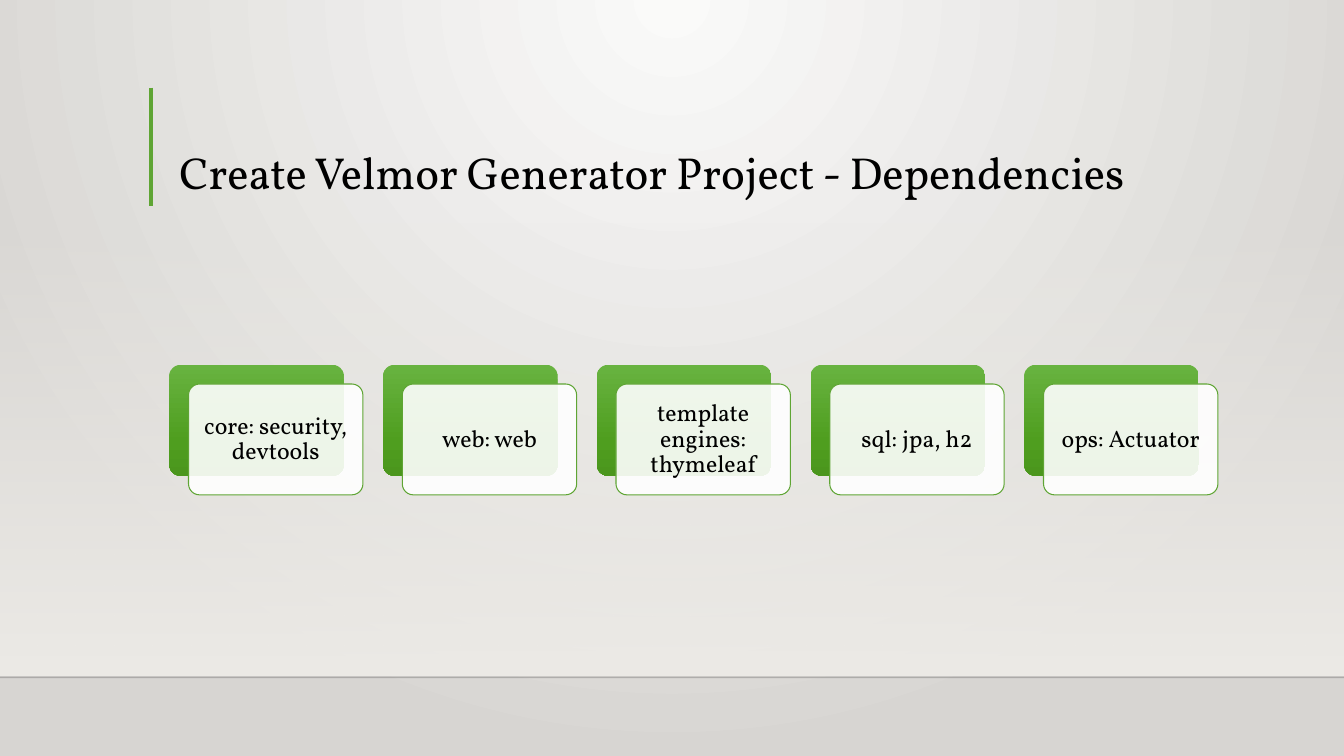
from pptx import Presentation
from pptx.dml.color import RGBColor as Rgb
from pptx.enum.shapes import MSO_CONNECTOR as Link, MSO_SHAPE as Form
from pptx.enum.text import MSO_ANCHOR as Anchor, PP_ALIGN as Align
from pptx.oxml import parse_xml
from pptx.oxml.ns import nsdecls, qn
from pptx.util import Inches, Pt

WIDE, HIGH = 13.33, 7.5
LEFT, TOP, STEP = 1.68, 3.62, 2.12
CARD_W, CARD_H, SHIFT = 1.73, 1.1, 0.19
FONT = "Vollkorn"
HUES = {
    "glow": "FAFAF9", "edge": "D7D5D2", "haze": "EDEBE7",
    "light": "68B340", "mid": "4F9E1F", "deep": "4B961D",
    "green": "5FA534", "ink": "000000", "white": "FFFFFF",
}
DOWN = '<a:lin ang="5400000" scaled="0"/>'
ROUND = ('<a:path path="circle">'
         '<a:fillToRect l="43000" t="0" r="43000" b="100000"/></a:path>')
TOPICS = ["core: security, devtools", "web: web",
          "template engines: thymeleaf", "sql: jpa, h2", "ops: Actuator"]


def tint(name):
    return Rgb.from_string(HUES[name])


def fade(root, share):
    color = next(root.iter(qn("a:srgbClr")))
    color.append(parse_xml(f'<a:alpha {nsdecls("a")} val="{share * 1000}"/>'))


def blend(fill, root, stops, way):
    fill.solid()
    fill.fore_color.rgb = tint("white")
    marks = "".join(
        f'<a:gs pos="{spot * 1000}"><a:srgbClr val="{HUES[name]}">'
        f'<a:alpha val="{share * 1000}"/></a:srgbClr></a:gs>'
        for spot, name, share in stops)
    plain = next(root.iter(qn("a:solidFill")))
    plain.getparent().replace(plain, parse_xml(
        f'<a:gradFill {nsdecls("a")} rotWithShape="1">'
        f'<a:gsLst>{marks}</a:gsLst>{way}</a:gradFill>'))


def block(slide, form, left, top, width, height):
    shape = slide.shapes.add_shape(
        form, Inches(left), Inches(top), Inches(width), Inches(height))
    shape.shadow.inherit = False
    shape.line.fill.background()
    if form == Form.ROUNDED_RECTANGLE:
        shape.adjustments[0] = 0.1
    return shape


def rule(slide, start, end, name, weight):
    line = slide.shapes.add_connector(
        Link.STRAIGHT, *(Inches(n) for n in start + end))
    line.line.color.rgb = tint(name)
    line.line.width = Pt(weight)
    line.element.spPr.append(parse_xml(f'<a:effectLst {nsdecls("a")}/>'))
    return line


def write(frame, text, size, align, anchor):
    frame.word_wrap = True
    frame.vertical_anchor = anchor
    para = frame.paragraphs[0]
    para.alignment = align
    para.line_spacing = 0.9
    run = para.add_run()
    run.text = text
    run.font.size = Pt(size)
    run.font.name = FONT
    run.font.color.rgb = tint("ink")


def scene(slide):
    blend(slide.background.fill, slide.element,
          [(0, "glow", 100), (100, "edge", 100)], ROUND)
    wall = block(slide, Form.RECTANGLE, 0, 2.2, WIDE, 4.5)
    blend(wall.fill, wall.element.spPr,
          [(0, "haze", 0), (100, "haze", 100)], DOWN)
    floor = rule(slide, (0, 6.72), (WIDE, 6.72), "ink", 1)
    fade(floor.element.spPr, 20)


def title(slide, text):
    rule(slide, (1.5, 0.87), (1.5, 2.04), "green", 3)
    box = slide.shapes.add_textbox(
        Inches(LEFT), Inches(0.88), Inches(10.41), Inches(1.15))
    write(box.text_frame, text, 32, Align.LEFT, Anchor.BOTTOM)


def card(slide, left, text):
    back = block(slide, Form.ROUNDED_RECTANGLE, left, TOP, CARD_W, CARD_H)
    blend(back.fill, back.element.spPr,
          [(0, "light", 100), (69, "mid", 100), (100, "deep", 100)], DOWN)
    front = block(slide, Form.ROUNDED_RECTANGLE,
                  left + SHIFT, TOP + SHIFT, CARD_W, CARD_H)
    front.fill.solid()
    front.fill.fore_color.rgb = tint("white")
    fade(front.element.spPr, 90)
    front.line.color.rgb = tint("green")
    front.line.width = Pt(0.75)
    frame = front.text_frame
    frame.margin_left = frame.margin_right = Inches(0.1)
    frame.margin_top = frame.margin_bottom = Inches(0.1)
    write(frame, text, 17, Align.CENTER, Anchor.MIDDLE)


def main():
    """Build the dependencies slide and save it."""
    deck = Presentation()
    deck.slide_width, deck.slide_height = Inches(WIDE), Inches(HIGH)
    slide = deck.slides.add_slide(deck.slide_layouts[6])
    scene(slide)
    title(slide, "Create Velmor Generator Project - Dependencies")
    for col, text in enumerate(TOPICS):
        card(slide, LEFT + col * STEP, text)
    deck.save("out.pptx")


if __name__ == "__main__":
    main()
